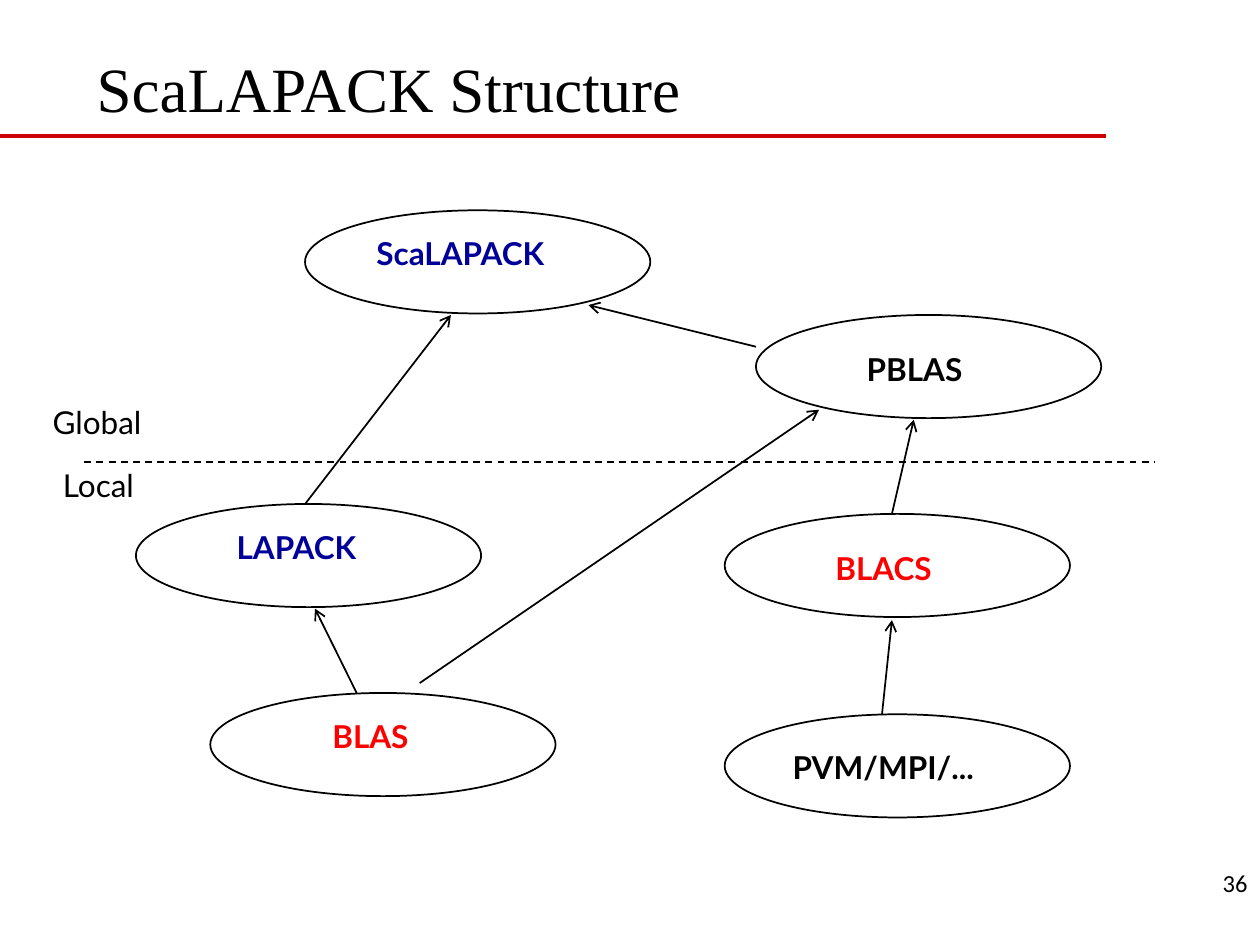
from lxml.etree import SubElement
from pptx import Presentation
from pptx.dml.color import RGBColor
from pptx.enum.dml import MSO_LINE
from pptx.enum.shapes import MSO_CONNECTOR, MSO_SHAPE
from pptx.enum.text import MSO_ANCHOR as ANCHOR, PP_ALIGN as ALIGN
from pptx.oxml.ns import qn
from pptx.util import Cm, Pt

BLACK = RGBColor(0x00, 0x00, 0x00)
BLUE = RGBColor(0x00, 0x00, 0x99)
RED = RGBColor(0xFF, 0x00, 0x00)
RULE = RGBColor(0xCC, 0x00, 0x00)
OVAL_W, OVAL_H = 6.96, 2.08
TEXT_H = 1.27

NODES = [
    ("ScaLAPACK", BLUE, 6.15, 4.24, 1.19, 0.36),
    ("BLAS", RED, 4.24, 13.97, 2.21, 0.36),
    ("LAPACK", BLUE, 2.74, 10.16, 1.78, 0.36),
    ("BLACS", RED, 14.61, 10.36, 1.98, 0.58),
    ("PVM/MPI/...", BLACK, 14.61, 14.4, 1.12, 0.56),
    ("PBLAS", BLACK, 15.24, 6.35, 1.98, 0.58),
]
ARROWS = [
    (7.19, 13.97, 6.35, 12.27),
    (6.15, 10.16, 9.09, 6.35),
    (15.24, 6.99, 11.86, 6.15),
    (17.98, 10.36, 18.42, 8.46),
    (17.78, 14.4, 17.98, 12.5),
    (8.46, 13.77, 16.51, 8.26),
]


def add_text(shapes, text, x, y, w, h, size=18, color=BLACK, font="Lato",
             bold=False, align=ALIGN.LEFT, anchor=ANCHOR.TOP):
    """Add a one-line text box in the given box."""
    frame = shapes.add_textbox(Cm(x), Cm(y), Cm(w), Cm(h)).text_frame
    frame.word_wrap = True
    frame.vertical_anchor = anchor
    para = frame.paragraphs[0]
    para.text = text
    para.alignment = align
    para.font.size = Pt(size)
    para.font.name = font
    para.font.bold = bold
    para.font.color.rgb = color


def add_line(shapes, x1, y1, x2, y2, color=BLACK, width=1, dash=None, arrow=False):
    """Add a straight line, dashed or with an arrowhead on request."""
    line = shapes.add_connector(MSO_CONNECTOR.STRAIGHT, Cm(x1), Cm(y1), Cm(x2), Cm(y2))
    line.line.color.rgb = color
    line.line.width = Pt(width)
    if dash:
        line.line.dash_style = dash
    if arrow:
        SubElement(line.line._get_or_add_ln(), qn("a:tailEnd"), type="arrow")
    SubElement(line._element.spPr, qn("a:effectLst"))


def add_node(shapes, text, color, x, y, dx, dy):
    """Add an oval at x, y with its label offset by dx, dy."""
    group = shapes.add_group_shape().shapes
    oval = group.add_shape(MSO_SHAPE.OVAL, Cm(x), Cm(y), Cm(OVAL_W), Cm(OVAL_H))
    oval.shadow.inherit = False
    oval.fill.background()
    oval.line.color.rgb = BLACK
    oval.line.width = Pt(1)
    add_text(group, text, x + dx, y + dy, OVAL_W - dx - 1, TEXT_H, color=color, bold=True)


def add_head(shapes, x, y, w, h):
    """Add the title and the red rule below it."""
    add_line(shapes, 0, y + h + 0.1, 22.3, y + h + 0.1, RULE, 2.25)
    add_text(shapes, "ScaLAPACK Structure", x, y, w, h, 36,
             font="Times New Roman", anchor=ANCHOR.BOTTOM)


def add_graph(shapes):
    """Add the library ovals and the arrows between them."""
    for node in NODES:
        add_node(shapes, *node)
    for ends in ARROWS:
        add_line(shapes, *ends, arrow=True)


def add_split(shapes, x, y, w):
    """Add the dashed divider with a label on each side."""
    add_line(shapes, x, y, x + w, y, dash=MSO_LINE.DASH)
    add_text(shapes, "Global", x - 0.89, y - 1.32, 2.72, TEXT_H)
    add_text(shapes, "Local", x - 0.68, y - 0.05, 2.34, TEXT_H)


def main():
    """Build the slide and save it."""
    deck = Presentation()
    deck.slide_width, deck.slide_height = Cm(25.4), Cm(19.05)
    shapes = deck.slides.add_slide(deck.slide_layouts[6]).shapes
    add_head(shapes, 1.7, -0.43, 21.59, 3.07)
    add_graph(shapes)
    add_split(shapes, 1.7, 9.32, 21.59)
    add_text(shapes, "36", 20.12, 17.15, 5.28, TEXT_H, 14, font="Calibri",
             align=ALIGN.RIGHT, anchor=ANCHOR.MIDDLE)
    deck.save("out.pptx")


if __name__ == "__main__":
    main()
